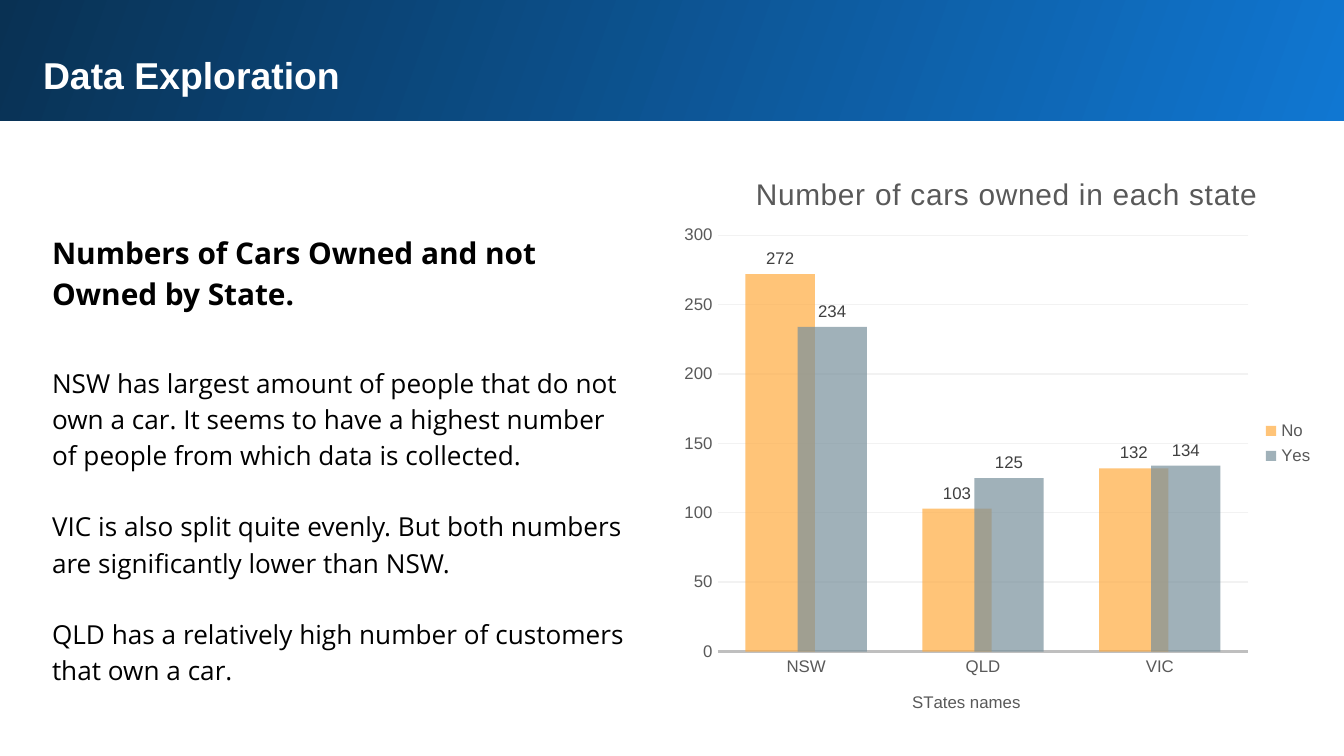
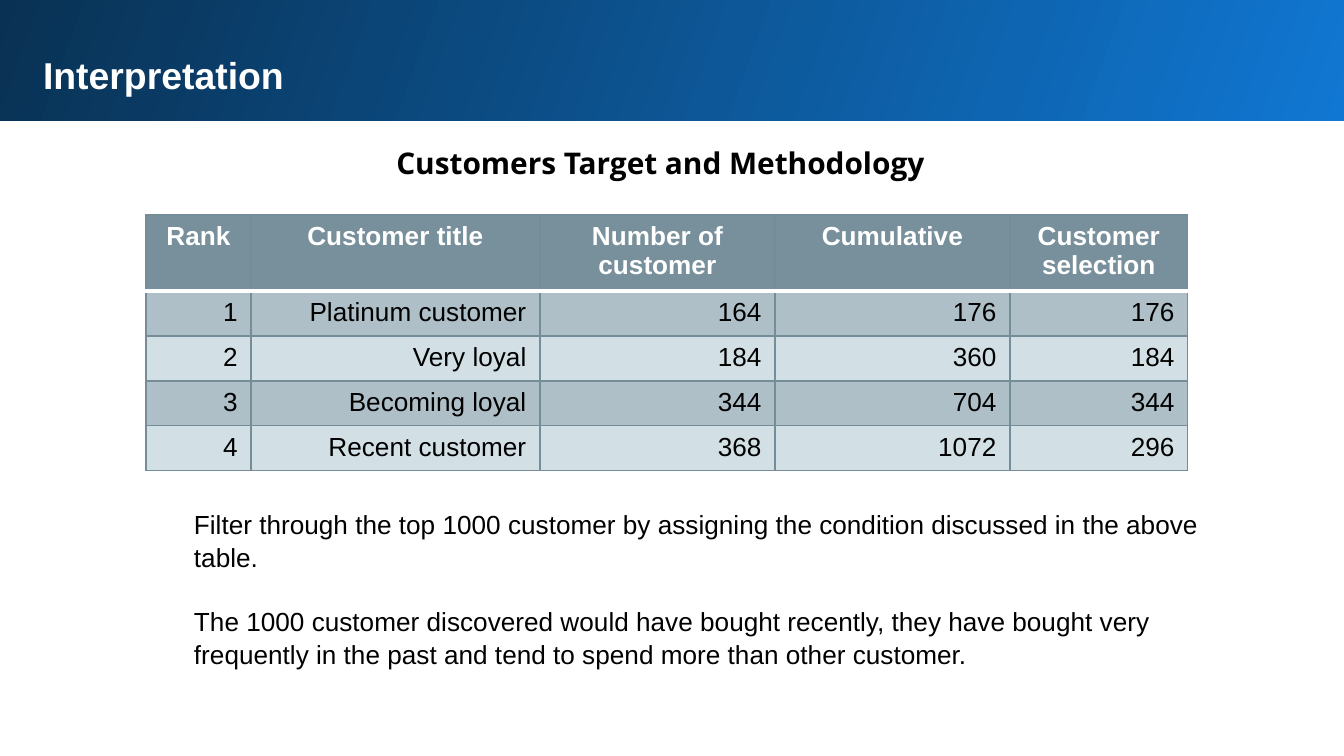
from lxml import etree
from pptx import Presentation
from pptx.chart.data import CategoryChartData
from pptx.dml.color import RGBColor
from pptx.enum.chart import XL_CHART_TYPE, XL_LABEL_POSITION, XL_LEGEND_POSITION, XL_TICK_MARK
from pptx.enum.shapes import MSO_SHAPE
from pptx.enum.text import MSO_ANCHOR, MSO_AUTO_SIZE, PP_ALIGN
from pptx.oxml.ns import qn
from pptx.util import Pt

COLUMN = XL_CHART_TYPE.COLUMN_CLUSTERED
OUTSIDE = XL_LABEL_POSITION.OUTSIDE_END
ASIDE = XL_LEGEND_POSITION.RIGHT
NO_TICK = XL_TICK_MARK.NONE
RECT = MSO_SHAPE.RECTANGLE
TOP = MSO_ANCHOR.TOP
FIXED = MSO_AUTO_SIZE.NONE
LEFT, MID, RIGHT = PP_ALIGN.LEFT, PP_ALIGN.CENTER, PP_ALIGN.RIGHT

SCALE = 914400 / 134.4
WHITE, BLACK, GREY, DARK = "FFFFFF", "000000", "595959", "404040"
SLATE, EDGE, AMBER = "78909C", "748D99", "FFAB40"
BLUE, NAVY = "1077D2", "093153"
BANDS = ("AEBFC7", "D2E0E6")
SANS, OPEN = "Arial", "Open Sans"

HEAD = "Numbers of Cars Owned and not Owned by State."
FACTS = [
    "NSW has largest amount of people that do not own a car. It seems to have a highest number of people from which data is collected.",
    "VIC is also split quite evenly. But both numbers are significantly lower than NSW.",
    "QLD has a relatively high number of customers that own a car.",
]
STATES = ["NSW", "QLD", "VIC"]
CARS = [("No", [272, 103, 132], AMBER), ("Yes", [234, 125, 134], SLATE)]
TARGET = "Customers Target and Methodology"
RANKS = [
    ("Rank", "Customer title", "Number of customer", "Cumulative", "Customer selection"),
    ("1", "Platinum customer", "164", "176", "176"),
    ("2", "Very loyal", "184", "360", "184"),
    ("3", "Becoming loyal", "344", "704", "344"),
    ("4", "Recent customer", "368", "1072", "296"),
]
WIDTHS = (105, 289, 235, 235, 178)
HEIGHTS = (76, 45, 45, 45, 45)
NOTES = [
    "Filter through the top 1000 customer by assigning the condition discussed in the above table.",
    "The 1000 customer discovered would have bought recently, they have bought very frequently in the past and tend to spend more than other customer.",
]


def px(num):
    return round(num * SCALE)


def rgb(code):
    return RGBColor.from_string(code)


def style(font, size, color, name=SANS, bold=False):
    font.size, font.name, font.bold = Pt(size), name, bold
    font.color.rgb = rgb(color)


def place(shape, box):
    shape.left, shape.top, shape.width, shape.height = map(px, box)


def write(shape, box, paras, pad=13, lead=1.0, align=LEFT):
    """Fill a text shape with (text, size, font, bold, color, gap) rows."""
    place(shape, box)
    frame = shape.text_frame
    frame.word_wrap, frame.auto_size = True, FIXED
    frame.vertical_anchor = TOP
    frame.margin_left = frame.margin_right = px(pad)
    frame.margin_top = frame.margin_bottom = px(pad)
    for i, (text, size, name, bold, color, gap) in enumerate(paras):
        para = frame.add_paragraph() if i else frame.paragraphs[0]
        para.text, para.alignment = text, align
        props = para._p.get_or_add_pPr()
        props.set("marL", "0")
        props.set("indent", "0")
        etree.SubElement(props, qn("a:buNone"))
        para.line_spacing = lead
        para.space_before, para.space_after = Pt(gap), Pt(0)
        style(para.font, size, color, name, bold)


def start(deck, title):
    slide = deck.slides.add_slide(deck.slide_layouts[1])
    band = slide.shapes.add_shape(RECT, 0, 0, 0, 0)
    place(band, (-3, -3, 1350, 124))
    band.shadow.inherit = False
    band.line.fill.background()
    band.fill.gradient()
    band.fill.gradient_angle = 160
    for stop, color in zip(band.fill.gradient_stops, (BLUE, NAVY)):
        stop.color.rgb = rgb(color)
    slide.shapes._spTree.insert(2, band._element)
    write(slide.shapes.title, (30, 39, 1259, 69), [(title, 20, SANS, True, WHITE, 0)])
    return slide


def layout(node, **parts):
    """Pin a chart part at fractions of the chart area."""
    old = node.find(qn("c:layout"))
    if old is None:
        old = etree.Element(qn("c:layout"))
        text = node.find(qn("c:tx"))
        if text is None:
            node.insert(0, old)
        else:
            text.addnext(old)
    for child in list(old):
        old.remove(child)
    spot = etree.SubElement(old, qn("c:manualLayout"))
    if "w" in parts:
        etree.SubElement(spot, qn("c:layoutTarget")).set("val", "inner")
    for key in "xy":
        etree.SubElement(spot, qn(f"c:{key}Mode")).set("val", "edge")
    for key, val in parts.items():
        etree.SubElement(spot, qn(f"c:{key}")).set("val", str(val))


def label(holder, text, size):
    frame = holder.text_frame
    frame.text = text
    font = frame.paragraphs[0].runs[0].font
    style(font, size, GREY)
    return font


def draw_chart(slide):
    data = CategoryChartData()
    data.categories = STATES
    for name, vals, _ in CARS:
        data.add_series(name, vals)
    box = map(px, (672, 146, 655, 595))
    chart = slide.shapes.add_chart(COLUMN, *box, data).chart
    style(chart.font, 10, BLACK)
    chart.has_title = True
    font = label(chart.chart_title, "Number of cars owned in each state", 16)
    font._element.set("spc", "50")
    layout(chart.chart_title._element, x=0.12, y=0.04)
    layout(chart._chartSpace.chart.plotArea, x=0.07, y=0.15, w=0.81, h=0.7)

    chart.has_legend = True
    chart.legend.position = ASIDE
    chart.legend.include_in_layout = False
    style(chart.legend.font, 9, GREY)

    cat, val = chart.category_axis, chart.value_axis
    for axis in (cat, val):
        axis.major_tick_mark = axis.minor_tick_mark = NO_TICK
        style(axis.tick_labels.font, 9, GREY)
    label(cat.axis_title, "STates names", 9)
    cat.format.line.color.rgb = rgb("BFBFBF")
    cat.format.line.width = Pt(1.25)
    val.format.line.fill.background()
    val.minimum_scale, val.maximum_scale, val.major_unit = 0, 300, 50
    grid = val.major_gridlines.format.line
    grid.color.rgb, grid.width = rgb("F2F2F2"), Pt(0.75)

    plot = chart.plots[0]
    plot.gap_width, plot.overlap, plot.vary_by_categories = 80, 25, False
    for series, (_, _, color) in zip(plot.series, CARS):
        series.invert_if_negative = False
        fill = series.format.fill
        fill.solid()
        fill.fore_color.rgb = rgb(color)
        tint = series._element.find(".//" + qn("a:srgbClr"))
        etree.SubElement(tint, qn("a:alpha")).set("val", "70000")
        tags = series.data_labels
        tags.show_value, tags.position = True, OUTSIDE
        style(tags.font, 9, DARK)


def border(cell, side, color, width):
    props = cell._tc.get_or_add_tcPr()
    line = etree.SubElement(props, qn(f"a:ln{side}"), w=str(Pt(width)))
    fill = etree.SubElement(line, qn("a:solidFill"))
    etree.SubElement(fill, qn("a:srgbClr")).set("val", color)


def draw_table(slide):
    box = map(px, (146, 215, sum(WIDTHS), sum(HEIGHTS)))
    table = slide.shapes.add_table(len(RANKS), len(WIDTHS), *box).table
    table.horz_banding = False
    for col, width in zip(table.columns, WIDTHS):
        col.width = px(width)
    for r, (texts, height) in enumerate(zip(RANKS, HEIGHTS)):
        table.rows[r].height = px(height)
        for c, text in enumerate(texts):
            cell = table.cell(r, c)
            cell.text = text
            para = cell.text_frame.paragraphs[0]
            para.alignment = RIGHT if r else MID
            style(para.font, 14, BLACK if r else WHITE, bold=not r)
            for side in "LRTB":
                thick = (r, side) in ((0, "B"), (1, "T"))
                border(cell, side, *((WHITE, 2) if thick else (EDGE, 0.75)))
            cell.fill.solid()
            cell.fill.fore_color.rgb = rgb(BANDS[(r - 1) % 2] if r else SLATE)


def main():
    deck = Presentation()
    deck.slide_width, deck.slide_height = px(1344), px(756)

    slide = start(deck, "Data Exploration")
    paras = [(HEAD, 16, OPEN, True, BLACK, 0)]
    paras += [(text, 14, OPEN, False, BLACK, 19 if i else 27.5) for i, text in enumerate(FACTS)]
    write(slide.placeholders[1], (39, 216, 607, 488), paras, lead=1.15)
    draw_chart(slide)

    slide = start(deck, "Interpretation")
    head = slide.shapes.add_textbox(0, 0, 0, 0)
    write(head, (31, 126, 1259, 66), [(TARGET, 16, OPEN, True, BLACK, 0)], lead=1.15, align=MID)
    draw_table(slide)
    paras = [(text, 14, SANS, False, BLACK, 16 * i) for i, text in enumerate(NOTES)]
    write(slide.placeholders[1], (187, 499, 1024, 172), paras, pad=7, lead=1.07)

    deck.save("out.pptx")


if __name__ == "__main__":
    main()
